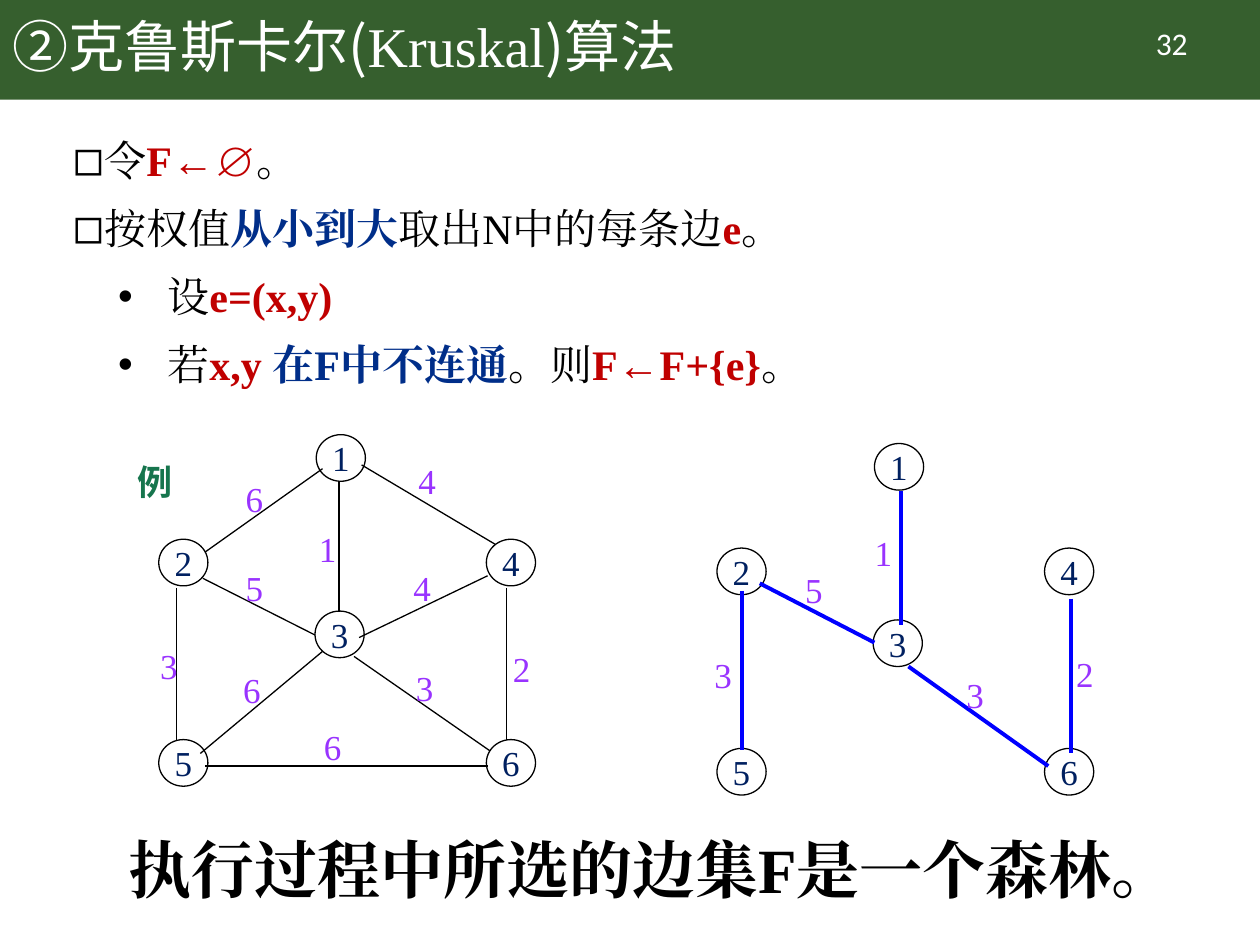
import pptx
import pptx.util
import pptx.dml.color
import pptx.enum.shapes
import pptx.enum.text
import pptx.oxml.ns
import lxml.etree

COLORS = {"band": "365F2E", "white": "FFFFFF", "black": "000000", "red": "C00000",
          "blue": "002E89", "green": "16754D", "node": "002060", "weight": "9933FF",
          "chosen": "0000FF"}
SERIF, SANS, NUMBER = "Times New Roman", "Noto Sans CJK SC", "Calibri"
COLUMNS, ROWS = 100, 75
CELL = pptx.util.Inches(10) // COLUMNS
MIDDLE = pptx.enum.text.MSO_ANCHOR.MIDDLE
TOP = pptx.enum.text.MSO_ANCHOR.TOP
CENTER = pptx.enum.text.PP_ALIGN.CENTER
LEFT = pptx.enum.text.PP_ALIGN.LEFT
NODE_SIZE = (3.9, 3.7)
LABEL_SIZE = (3.4, 4.3)
NODES = {"1": (12.5, 0), "6": (26, 24.2), "5": (0, 24.2), "4": (26, 8.3),
         "3": (12.4, 14), "2": (0, 8.3)}
NETWORK_EDGES = [
    ("1", (14.3, 3.7, 14.3, 14.1), (11.7, 6.9)),
    ("6", (13, 2.7, 3.7, 9.3), (5.9, 2.9)),
    ("3", (1.4, 12.2, 1.4, 24.3), (-0.9, 16.2)),
    ("2", (27.6, 12.2, 27.6, 24.2), (27.1, 16.4)),
    ("6", (3.7, 26.3, 26.1, 26.3), (12.1, 22.6)),
    ("4", (16.1, 2.4, 26.7, 8.7), (19.6, 1.5)),
    ("5", (3.5, 11.4, 12.4, 15.9), (5.9, 10)),
    ("4", (26.1, 11.2, 15.9, 16.1), (19.2, 10)),
    ("6", (13, 17.2, 3.3, 25.3), (5.7, 18.1)),
    ("3", (15.5, 17.6, 26.3, 25.1), (19.4, 17.9)),
]
FOREST_EDGES = [
    ("1", (14.6, 3.8, 14.6, 14.4), (11.5, 6.5)),
    ("2", (28.1, 12.3, 28.1, 24.6), (27.5, 16.1)),
    ("3", (2, 11.7, 2, 24.3), (-1.2, 16.2)),
    ("3", (15.2, 17.7, 26.3, 25.6), (18.8, 17.8)),
    ("5", (3.4, 11.1, 12.5, 15.8), (6, 9.4)),
]
STEP = {"bullet": "◻", "margin": 0.25, "bullet_size": 120}
SUBSTEP = {"bullet": "•", "margin": 0.75, "bullet_size": 100}
STEPS = [
    (STEP, [("令", "black"), ("F←∅", "red"), ("。", "black")]),
    (STEP, [("按权值", "black"), ("从小到大", "blue"), ("取出N中的每条边", "black"),
            ("e", "red"), ("。", "black")]),
    (SUBSTEP, [("设", "black"), ("e=(x,y)", "red")]),
    (SUBSTEP, [("若", "black"), ("x,y ", "red"), ("在F中不连通", "blue"), ("。则", "black"),
               ("F←F+{e}", "red"), ("。", "black")]),
]


def cells(*values):
    """Turn grid cells into slide lengths."""
    return [round(value * CELL) for value in values]


def color(name):
    """Look up a named colour."""
    return pptx.dml.color.RGBColor.from_string(COLORS[name])


def add_run(paragraph, text, size, font, color_name, bold=False):
    """Add one run with the same typeface for Latin and East Asian text."""
    run = paragraph.add_run()
    run.text = text
    formats = {"size": pptx.util.Pt(size), "name": font, "bold": bold}
    for name, value in formats.items():
        setattr(run.font, name, value)
    run.font.color.rgb = color(color_name)
    east_asian = lxml.etree.SubElement(run.font._element, pptx.oxml.ns.qn("a:ea"))
    east_asian.set("typeface", font)


def format_frame(shape, anchor=TOP, wrap=True, align=LEFT):
    """Set up a text frame and return its first paragraph."""
    frame = shape.text_frame
    for name, value in {"vertical_anchor": anchor, "word_wrap": wrap}.items():
        setattr(frame, name, value)
    frame.paragraphs[0].alignment = align
    return frame.paragraphs[0]


def add_text(slide, box, runs, **layout):
    """Place a one-paragraph text box and return its paragraph."""
    shape = slide.shapes.add_textbox(*cells(*box))
    paragraph = format_frame(shape, **layout)
    for run in runs:
        add_run(paragraph, *run)
    return paragraph


def add_header(slide, box):
    """Draw the title band with its title and page number."""
    left, top, width, height = box
    band = slide.shapes.add_shape(pptx.enum.shapes.MSO_SHAPE.RECTANGLE, *cells(*box))
    band.shadow.inherit = False
    band.fill.solid()
    band.fill.fore_color.rgb = color("band")
    band.line.fill.background()
    title = [("②克鲁斯卡尔(", 32, SANS, "white"), ("Kruskal", 32, SERIF, "white"),
             (")算法", 32, SANS, "white")]
    paragraph = add_text(slide, (left, top, width * 0.86, height), title, anchor=MIDDLE)
    paragraph.line_spacing = 0.9
    add_text(slide, (left + width * 0.87, top + 1.4, width * 0.12, 4),
             [("32", 18, NUMBER, "white")], align=CENTER)


def add_bullet(paragraph, bullet, margin, bullet_size):
    """Give a paragraph a hanging bullet."""
    properties = paragraph._p.get_or_add_pPr()
    properties.set("marL", str(pptx.util.Inches(margin)))
    properties.set("indent", str(-pptx.util.Inches(0.39)))
    for tag, name, value in (("a:buSzPct", "val", str(bullet_size * 1000)),
                             ("a:buFont", "typeface", "Arial"),
                             ("a:buChar", "char", bullet)):
        lxml.etree.SubElement(properties, pptx.oxml.ns.qn(tag)).set(name, value)


def add_steps(slide, box):
    """List the steps of the algorithm."""
    shape = slide.shapes.add_textbox(*cells(*box))
    paragraph = format_frame(shape)
    for index, (style, runs) in enumerate(STEPS):
        if index:
            paragraph = shape.text_frame.add_paragraph()
        paragraph.line_spacing = 1.35
        add_bullet(paragraph, **style)
        for text, color_name in runs:
            add_run(paragraph, text, 24, SERIF, color_name, color_name != "black")


def add_node(slide, box, name):
    """Draw one numbered vertex."""
    node = slide.shapes.add_shape(pptx.enum.shapes.MSO_SHAPE.OVAL, *cells(*box))
    node.shadow.inherit = False
    node.fill.background()
    node.line.color.rgb = color("black")
    node.line.width = pptx.util.Pt(0.75)
    paragraph = format_frame(node, MIDDLE, False, CENTER)
    add_run(paragraph, name, 20, SERIF, "node")


def add_edge(slide, ends, color_name, width):
    """Draw one straight edge."""
    edge = slide.shapes.add_connector(pptx.enum.shapes.MSO_CONNECTOR.STRAIGHT, *cells(*ends))
    edge.line.color.rgb = color(color_name)
    edge.line.width = pptx.util.Pt(width)
    lxml.etree.SubElement(edge._element.spPr, pptx.oxml.ns.qn("a:effectLst"))


def add_graph(slide, origin, edges, color_name, width):
    """Draw the vertices and weighted edges from the given corner."""
    left, top = origin
    for name, (column, row) in NODES.items():
        add_node(slide, (left + column, top + row, *NODE_SIZE), name)
    for weight, (start_x, start_y, end_x, end_y), (column, row) in edges:
        ends = (left + start_x, top + start_y, left + end_x, top + end_y)
        add_edge(slide, ends, color_name, width)
        add_text(slide, (left + column, top + row, *LABEL_SIZE),
                 [(weight, 20, SERIF, "weight")], anchor=MIDDLE, wrap=False, align=CENTER)


def main():
    """Build the slide and save it."""
    presentation = pptx.Presentation()
    presentation.slide_width, presentation.slide_height = cells(COLUMNS, ROWS)
    slide = presentation.slides.add_slide(presentation.slide_layouts[6])
    add_header(slide, (0, 0, COLUMNS, 7.9))
    add_steps(slide, (4.8, 8.8, 93.2, 64.7))
    add_text(slide, (9.9, 36, 4.8, 4.4), [("例", 20, SANS, "green", True)],
             anchor=MIDDLE, wrap=False, align=CENTER)
    add_graph(slide, (12.6, 34.5), NETWORK_EDGES, "black", 0.75)
    add_graph(slide, (56.9, 35.2), FOREST_EDGES, "chosen", 2.25)
    add_text(slide, (9.2, 65.4, 93, 6.4),
             [("执行过程中所选的边集F是一个森林。", 36, SERIF, "black", True)])
    presentation.save("out.pptx")


if __name__ == "__main__":
    main()
